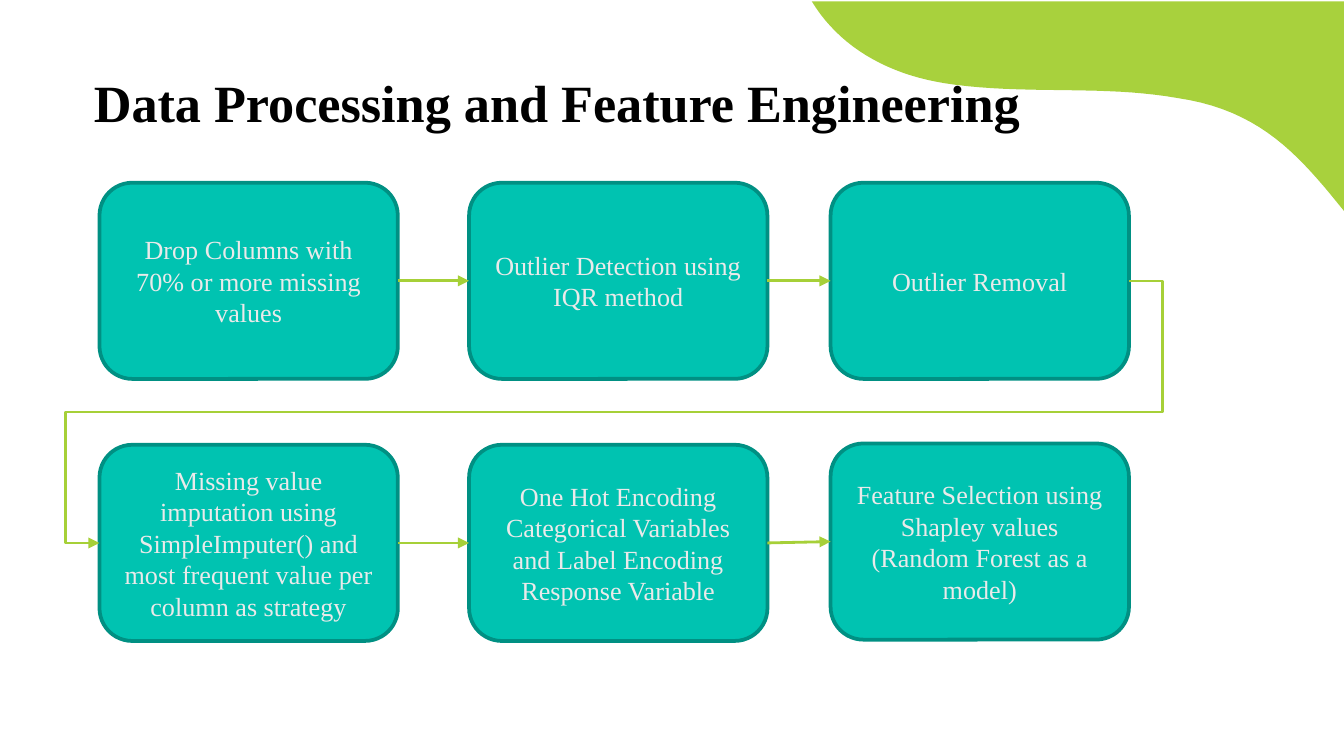
from dataclasses import dataclass
from itertools import pairwise

from lxml.etree import SubElement
from pptx import Presentation
from pptx.dml.color import RGBColor
from pptx.enum.shapes import MSO_CONNECTOR as Connector, MSO_SHAPE as Shape
from pptx.enum.text import MSO_ANCHOR as Anchor, PP_ALIGN as Align
from pptx.oxml.ns import qn
from pptx.shapes.autoshape import Shape as AutoShape
from pptx.shapes.connector import Connector as ConnectorShape
from pptx.slide import Slide
from pptx.text.text import TextFrame
from pptx.util import Inches, Length, Pt

Point = tuple[float, float]


@dataclass(frozen=True)
class Theme:
    font: str = "Times New Roman"
    wave: str = "A8D13D"
    arrow: str = "A6D038"
    box_fill: str = "00C3B1"
    box_line: str = "009083"
    box_text: str = "EAEAEA"
    title: str = "000000"
    title_size: int = 28
    box_size: int = 14
    box_line_width: float = 2
    arrow_width: float = 1.5


@dataclass(frozen=True)
class Step:
    column: float
    row: float
    text: str


@dataclass(frozen=True)
class Curve:
    start: Point
    first_control: Point
    second_control: Point
    end: Point

    def at(self, share: float) -> Point:
        rest = 1 - share
        weights = (rest**3, 3 * rest**2 * share, 3 * rest * share**2, share**3)
        points = (self.start, self.first_control, self.second_control, self.end)
        return (
            sum(weight * point[0] for weight, point in zip(weights, points)),
            sum(weight * point[1] for weight, point in zip(weights, points)),
        )


THEME = Theme()
GRID_COLUMNS, GRID_ROWS = 100, 56.25
BOX_COLUMNS, BOX_ROWS = 22.2, 14.6
LEFT, MIDDLE, RIGHT = 7.4, 34.9, 61.8
UPPER, LOWER = 13.6, 33.1
LEFT_SIDE, RIGHT_SIDE = 1, 3
CURVE_PARTS = 20
ELBOW_OVERHANG = 3260

STEPS = (
    Step(LEFT, UPPER, "Drop Columns with 70% or more missing values"),
    Step(MIDDLE, UPPER, "Outlier Detection using IQR method"),
    Step(RIGHT, UPPER, "Outlier Removal"),
    Step(LEFT, LOWER, "Missing value imputation using SimpleImputer() and "
         "most frequent value per column as strategy"),
    Step(MIDDLE, LOWER, "One Hot Encoding Categorical Variables and "
         "Label Encoding Response Variable"),
    Step(RIGHT, LOWER - 0.1, "Feature Selection using Shapley values "
         "(Random Forest as a model)"),
)

WAVE = (
    Curve((100, 15.7), (96.7, 11.6), (93.8, 8.2), (87.6, 7.3)),
    Curve((87.6, 7.3), (82, 6.3), (76, 7.1), (70.3, 6.2)),
    Curve((70.3, 6.2), (65.9, 5.5), (62.4, 3.4), (60.4, 0.1)),
)


def grid(cells: float) -> Length:
    return Inches(cells / 10)


def color(value: str) -> RGBColor:
    return RGBColor.from_string(value)


def write(frame: TextFrame, text: str, size: int, text_color: str,
          bold: bool, align: Align) -> None:
    frame.text = text
    frame.word_wrap = True
    frame.vertical_anchor = Anchor.MIDDLE
    paragraph = frame.paragraphs[0]
    paragraph.alignment = align
    font = paragraph.runs[0].font
    font.name, font.size, font.bold = THEME.font, Pt(size), bold
    font.color.rgb = color(text_color)


def draw_wave(slide: Slide) -> None:
    points = [curve.at(part / CURVE_PARTS)
              for curve in WAVE for part in range(CURVE_PARTS + 1)]
    points.append((GRID_COLUMNS, 0.1))
    corners = [(grid(column), grid(row)) for column, row in points]
    builder = slide.shapes.build_freeform(*corners[0])
    builder.add_line_segments(corners[1:], close=True)
    shape = builder.convert_to_shape()
    shape.shadow.inherit = False
    shape.fill.solid()
    shape.fill.fore_color.rgb = color(THEME.wave)
    shape.line.fill.background()


def draw_title(slide: Slide) -> None:
    box = slide.shapes.add_textbox(grid(6), grid(4.8), grid(79.4), grid(5.5))
    frame = box.text_frame
    frame.margin_left = frame.margin_right = grid(1)
    frame.margin_top = frame.margin_bottom = grid(1)
    write(frame, "Data Processing and Feature Engineering",
          THEME.title_size, THEME.title, True, Align.LEFT)


def draw_step(slide: Slide, step: Step) -> AutoShape:
    shape = slide.shapes.add_shape(
        Shape.ROUNDED_RECTANGLE, grid(step.column), grid(step.row),
        grid(BOX_COLUMNS), grid(BOX_ROWS))
    shape.shadow.inherit = False
    shape.fill.solid()
    shape.fill.fore_color.rgb = color(THEME.box_fill)
    shape.line.color.rgb = color(THEME.box_line)
    shape.line.width = Pt(THEME.box_line_width)
    write(shape.text_frame, step.text, THEME.box_size, THEME.box_text,
          False, Align.CENTER)
    return shape


def bend_around(connector: ConnectorShape) -> None:
    geometry = connector.element.spPr.find(qn("a:prstGeom"))
    geometry.set("prst", "bentConnector5")
    adjustments = geometry.find(qn("a:avLst"))
    shares = (-ELBOW_OVERHANG, 50000, 100000 + ELBOW_OVERHANG)
    for number, share in enumerate(shares, start=1):
        SubElement(adjustments, qn("a:gd"), name=f"adj{number}", fmla=f"val {share}")


def draw_arrow(slide: Slide, source: AutoShape, target: AutoShape) -> None:
    wraps = target.left < source.left
    kind = Connector.ELBOW if wraps else Connector.STRAIGHT
    connector = slide.shapes.add_connector(
        kind, source.left + source.width, source.top + source.height // 2,
        target.left, target.top + target.height // 2)
    connector.begin_connect(source, RIGHT_SIDE)
    connector.end_connect(target, LEFT_SIDE)
    if wraps:
        bend_around(connector)
    connector.line.color.rgb = color(THEME.arrow)
    connector.line.width = Pt(THEME.arrow_width)
    SubElement(connector.line._get_or_add_ln(), qn("a:tailEnd"), type="triangle")
    SubElement(connector.element.spPr, qn("a:effectLst"))


def main() -> None:
    presentation = Presentation()
    presentation.slide_width = grid(GRID_COLUMNS)
    presentation.slide_height = grid(GRID_ROWS)
    slide = presentation.slides.add_slide(presentation.slide_layouts[6])
    draw_wave(slide)
    draw_title(slide)
    boxes = [draw_step(slide, step) for step in STEPS]
    for source, target in pairwise(boxes):
        draw_arrow(slide, source, target)
    presentation.save("out.pptx")


if __name__ == "__main__":
    main()
